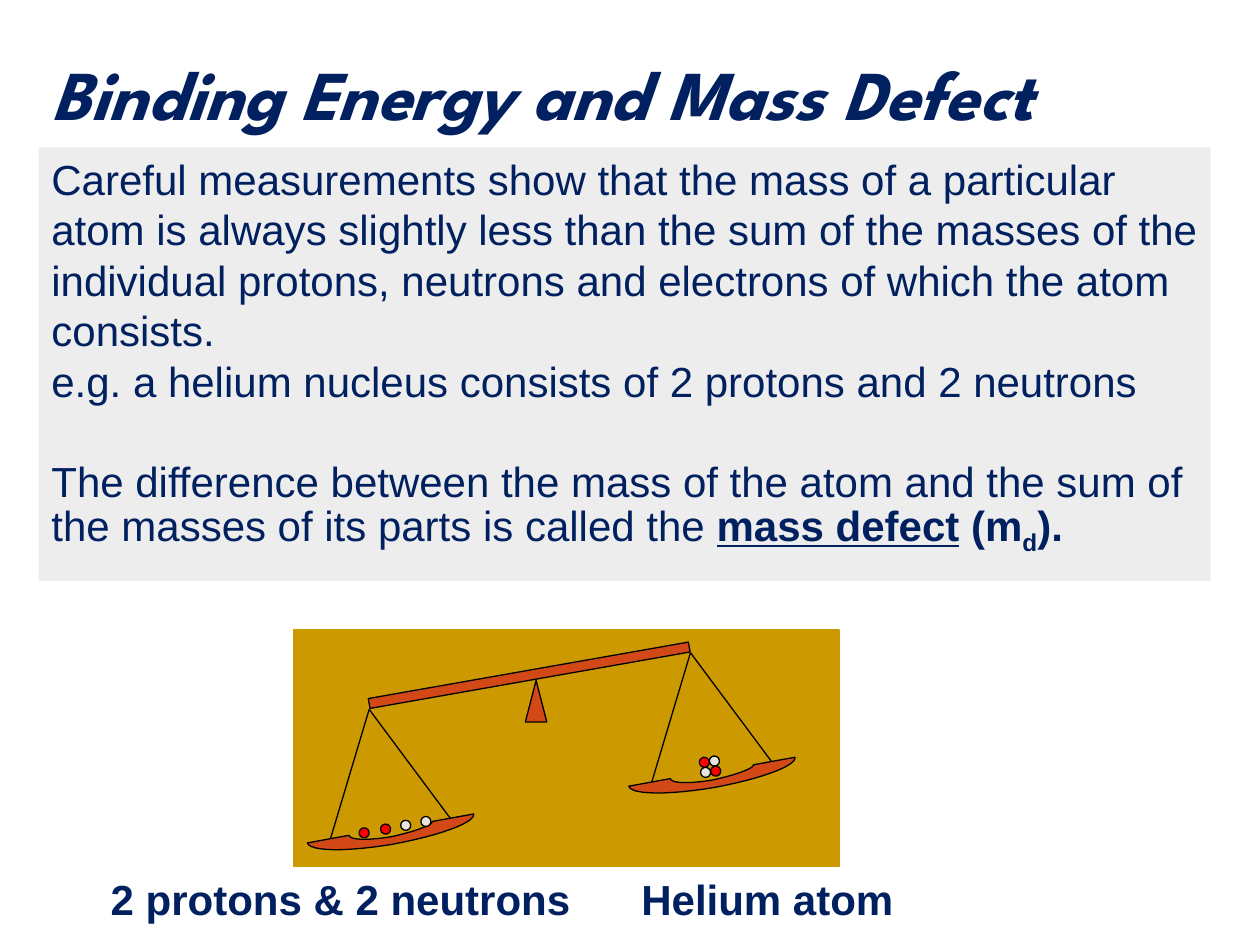
from lxml import etree
from pptx import Presentation
from pptx import util as u
from pptx.dml.color import RGBColor
from pptx.enum import shapes, text
from pptx.oxml.ns import qn

SCALE = 9144
COLORS = {
    "ink": "002060", "panel": "D9D9D9", "backdrop": "CC9900", "beam": "D34817",
    "proton": "FF0000", "neutron": "E9E5DC", "outline": "000000",
}
TILT = -10
BALL = 8
PAN_OFFSET = (255, -45)
PAN_START = (277, 663)
PAN_CURVES = [
    [(278, 667), (293, 667), (311, 664)],
    [(329, 660), (343, 655), (343, 652)],
    [(376, 646)],
    [(377, 653), (349, 663), (312, 670)],
    [(276, 676), (246, 676), (244, 669)],
]


def px(value):
    return u.Emu(round(value * SCALE))


def rgb(name):
    return RGBColor.from_string(COLORS[name])


def trace(start, segments, steps=12):
    points = [start]
    for segment in segments:
        if len(segment) == 1:
            points += segment
            continue
        corners = [points[-1], *segment]
        for step in range(1, steps + 1):
            t = step / steps
            weights = ((1 - t) ** 3, 3 * t * (1 - t) ** 2, 3 * t * t * (1 - t), t ** 3)
            points.append(tuple(sum(w * c[axis] for w, c in zip(weights, corners))
                                for axis in (0, 1)))
    return points


class SlideBuilder:
    font = {"name": "Arial", "size": u.Pt(24), "bold": False}
    line_width = u.Pt(0.75)

    def __init__(self, slide):
        self.slide = slide

    def style(self, target, values):
        for name, value in values.items():
            setattr(target, name, value)

    def place(self, shape, box):
        self.style(shape, dict(zip(("left", "top", "width", "height"), map(px, box))))

    def add_runs(self, paragraph, runs, align=text.PP_ALIGN.LEFT, **spacing):
        self.style(paragraph, {"alignment": align, **spacing})
        for content, values in runs:
            run = paragraph.add_run()
            run.text = content
            values = dict(values)
            baseline = values.pop("baseline", None)
            self.style(run.font, {**self.font, **values})
            run.font.color.rgb = rgb("ink")
            if baseline:
                run.font._element.set("baseline", str(baseline))

    def title(self, content, box):
        title = self.slide.shapes.title
        self.place(title, box)
        self.style(title.text_frame, {"vertical_anchor": text.MSO_ANCHOR.MIDDLE,
                                      "word_wrap": True,
                                      "auto_size": text.MSO_AUTO_SIZE.NONE})
        values = {"name": "League Spartan", "size": u.Pt(40), "bold": True, "italic": True}
        self.add_runs(title.text_frame.paragraphs[0], [(content, values)])

    def paint(self, shape, fill, line="outline"):
        shape.shadow.inherit = False
        shape.fill.solid()
        shape.fill.fore_color.rgb = rgb(fill)
        if line:
            shape.line.color.rgb = rgb(line)
            shape.line.width = self.line_width
        else:
            shape.line.fill.background()
        return shape

    def shape(self, kind, box, fill, line="outline", rotation=0):
        shape = self.slide.shapes.add_shape(kind, *map(px, box))
        shape.rotation = rotation
        return self.paint(shape, fill, line)

    def panel(self, box, paragraphs, opacity):
        panel = self.shape(shapes.MSO_SHAPE.RECTANGLE, box, "panel", None)
        color = panel._element.spPr.find(qn("a:solidFill"))[0]
        etree.SubElement(color, qn("a:alpha")).set("val", str(opacity * 1000))
        frame = panel.text_frame
        self.style(frame, {"word_wrap": True, "vertical_anchor": text.MSO_ANCHOR.TOP})
        for index, (runs, spacing) in enumerate(paragraphs):
            paragraph = frame.add_paragraph() if index else frame.paragraphs[0]
            self.add_runs(paragraph, runs, line_spacing=u.Pt(28.8), **spacing)

    def label(self, content, box, align=text.PP_ALIGN.LEFT):
        frame = self.slide.shapes.add_textbox(*map(px, box)).text_frame
        frame.word_wrap = True
        self.add_runs(frame.paragraphs[0], [(content, {"bold": True})], align)

    def line(self, start, end):
        line = self.slide.shapes.add_connector(
            shapes.MSO_CONNECTOR.STRAIGHT, *map(px, (*start, *end)))
        line.line.color.rgb = rgb("outline")
        line.line.width = self.line_width
        etree.SubElement(line._element.spPr, qn("a:effectLst"))

    def outline(self, points, fill):
        points = [(px(x), px(y)) for x, y in points]
        builder = self.slide.shapes.build_freeform(*points[0], scale=1.0)
        builder.add_line_segments(points[1:], close=True)
        self.paint(builder.convert_to_shape(), fill)

    def ball(self, left, top, fill):
        self.shape(shapes.MSO_SHAPE.OVAL, (left, top, BALL, BALL), fill, rotation=TILT)


def main():
    presentation = Presentation()
    presentation.slide_width, presentation.slide_height = px(1000), px(750)
    builder = SlideBuilder(presentation.slides.add_slide(presentation.slide_layouts[5]))

    builder.title("Binding Energy and Mass Defect", (31, 22, 969, 103))
    bold = {"bold": True}
    builder.panel((31, 117, 930, 344), [
        ([("Careful measurements show that the mass of a particular atom is always "
           "slightly less than the sum of the masses of the individual protons, "
           "neutrons and electrons of which the atom consists.", {})], {}),
        ([("e.g. a helium nucleus consists of 2 protons and 2 neutrons", {})], {}),
        ([("The difference between the mass of the atom and the sum of the masses "
           "of its parts is called the ", {}),
          ("mass defect", {**bold, "underline": True}),
          (" (m", bold), ("d", {**bold, "baseline": -25000}), (").", bold)],
         {"space_before": u.Pt(28.8)}),
    ], opacity=47)
    builder.label("2 protons & 2 neutrons", (78, 688, 398, 50))
    builder.label("Helium atom", (484, 688, 250, 50), text.PP_ALIGN.CENTER)

    builder.shape(shapes.MSO_SHAPE.RECTANGLE, (233, 500, 433, 188), "backdrop", "backdrop")
    builder.shape(shapes.MSO_SHAPE.ISOSCELES_TRIANGLE, (417, 540, 17, 33), "beam")
    builder.shape(shapes.MSO_SHAPE.RECTANGLE, (291, 532, 258, 8), "beam", rotation=TILT)

    pan = trace(PAN_START, PAN_CURVES)
    for dx, dy in ((0, 0), PAN_OFFSET):
        for x, y in ((261, 670), (360, 653)):
            builder.line((293 + dx, 563 + dy), (x + dx, y + dy))
        builder.outline([(x + dx, y + dy) for x, y in pan], "beam")

    for left, top, fill in (
        (564, 608, "proton"), (555, 601, "proton"),
        (556, 609, "neutron"), (563, 600, "neutron"),
        (285, 657, "proton"), (302, 654, "proton"),
        (318, 651, "neutron"), (334, 648, "neutron"),
    ):
        builder.ball(left, top, fill)

    presentation.save("out.pptx")


if __name__ == "__main__":
    main()
